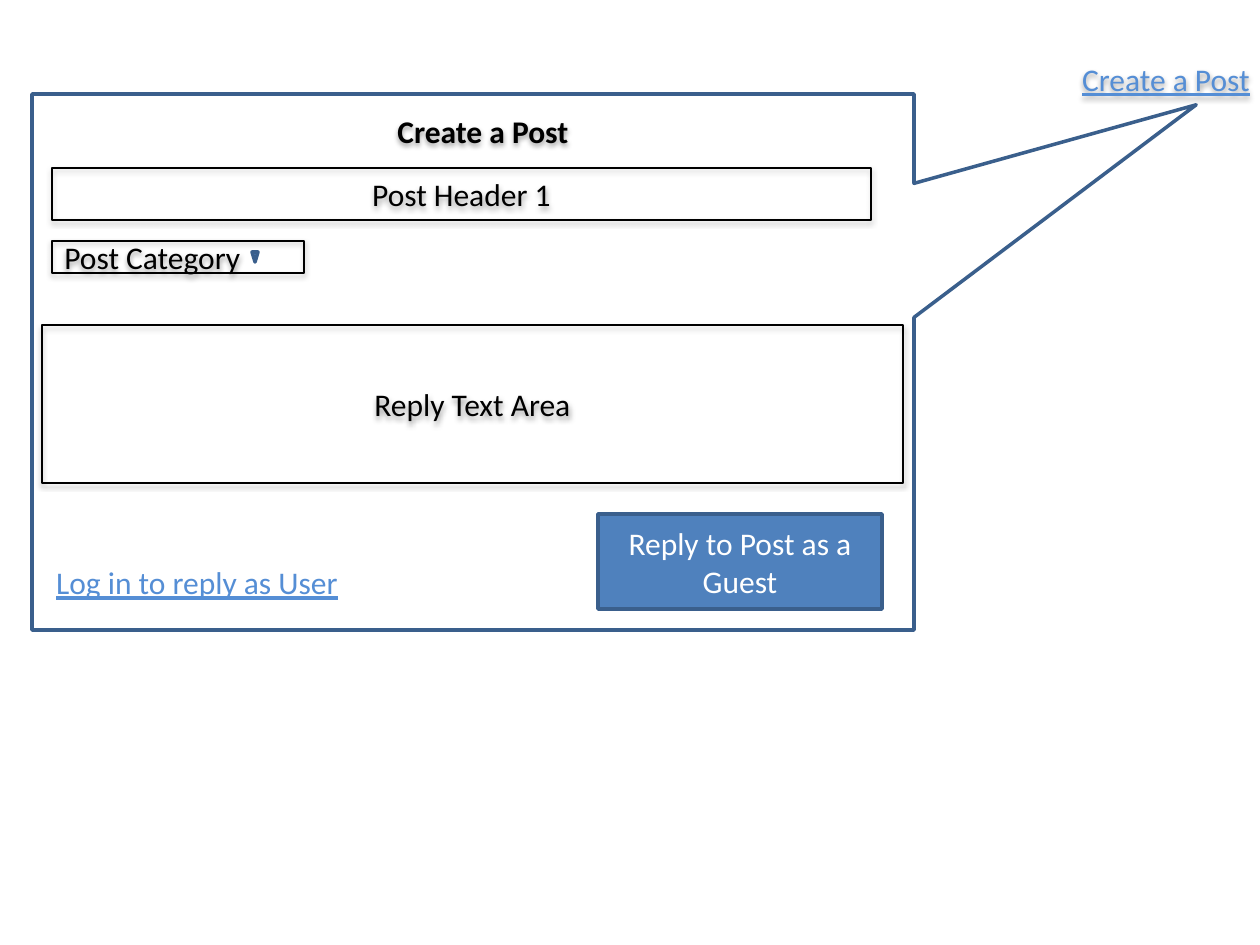
import pptx
import pptx.dml.color
import pptx.enum.shapes
import pptx.enum.text
import pptx.oxml
import pptx.oxml.ns
import pptx.util

BLACK = pptx.dml.color.RGBColor(0x00, 0x00, 0x00)
WHITE = pptx.dml.color.RGBColor(0xFF, 0xFF, 0xFF)
BLUE = pptx.dml.color.RGBColor(0x4F, 0x81, 0xBD)
DARK_BLUE = pptx.dml.color.RGBColor(0x3A, 0x5F, 0x8C)
LINK_BLUE = pptx.dml.color.RGBColor(0x55, 0x8E, 0xD5)

PX = 914400 / 126
SHAPE = pptx.enum.shapes.MSO_SHAPE
ALIGN = pptx.enum.text.PP_ALIGN
ANCHOR = pptx.enum.text.MSO_ANCHOR
SHADOW = (
    f'<a:outerShdw {pptx.oxml.ns.nsdecls("a")} blurRad="40000" dist="20000" '
    'dir="5400000" rotWithShape="0"><a:srgbClr val="000000">'
    '<a:alpha val="38000"/></a:srgbClr></a:outerShdw>'
)


class Wireframe:
    """Draws the parts of a page mock-up on one slide in a shared style."""

    font = {"name": "Calibri", "size": pptx.util.Pt(18)}

    def __init__(self, slide):
        self.slide = slide

    def place(self, bounds):
        return [round(length * PX) for length in bounds]

    def shade(self, item, shadow):
        item.shadow.inherit = False
        if shadow:
            effects = item.element.spPr.find(pptx.oxml.ns.qn("a:effectLst"))
            effects.append(pptx.oxml.parse_xml(SHADOW))

    def set_text(self, item, text, color, align=ALIGN.CENTER, anchor=ANCHOR.MIDDLE,
                 wrap=True, **extra):
        frame = item.text_frame
        frame.word_wrap = wrap
        frame.vertical_anchor = anchor
        para = frame.paragraphs[0]
        para.alignment = align
        span = para.add_run()
        span.text = text
        for name, value in {**self.font, **extra}.items():
            setattr(span.font, name, value)
        span.font.color.rgb = color

    def shape(self, kind, bounds, line=DARK_BLUE, weight=2, fill=None, shadow=False):
        shape = self.slide.shapes.add_shape(kind, *self.place(bounds))
        if fill is None:
            shape.fill.background()
        else:
            shape.fill.solid()
            shape.fill.fore_color.rgb = fill
        shape.line.color.rgb = line
        shape.line.width = pptx.util.Pt(weight)
        self.shade(shape, shadow)
        return shape

    def field(self, text, bounds, align=ALIGN.CENTER):
        box = self.shape(SHAPE.RECTANGLE, bounds, BLACK, 0.75, shadow=True)
        self.set_text(box, text, BLACK, align)

    def button(self, text, bounds):
        box = self.shape(SHAPE.RECTANGLE, bounds, fill=BLUE)
        self.set_text(box, text, WHITE)

    def callout(self, bounds, tip):
        bubble = self.shape(SHAPE.RECTANGULAR_CALLOUT, bounds)
        bubble.rotation = 180
        for index, offset in enumerate(tip):
            bubble.adjustments[index] = offset

    def marker(self, bounds):
        self.shape(SHAPE.ISOSCELES_TRIANGLE, bounds, fill=BLUE).rotation = 180

    def label(self, text, bounds, color, shadow=True, **style):
        box = self.slide.shapes.add_textbox(*self.place(bounds))
        self.shade(box, shadow)
        self.set_text(box, text, color, **style)
        return box


def main():
    deck = pptx.Presentation()
    deck.slide_width = round(1260 * PX)
    deck.slide_height = round(945 * PX)
    page = Wireframe(deck.slides.add_slide(deck.slide_layouts[6]))

    page.button("Reply to Post as a Guest", (598, 514, 284, 95))
    page.field("Reply Text Area", (42, 325, 861, 158))
    page.label("Create a Post", (1040, 42, 252, 73), LINK_BLUE, underline=True)
    page.callout((32, 94, 882, 536), (-0.82, 0.48))
    login = page.label("Log in to reply as User", (42, 557, 310, 51), LINK_BLUE,
                       shadow=False, anchor=ANCHOR.TOP, wrap=False, underline=True)
    login.text_frame.auto_size = pptx.enum.text.MSO_AUTO_SIZE.SHAPE_TO_FIT_TEXT
    page.field("Post Header 1", (52, 168, 819, 52))
    page.field("Post Category", (52, 241, 252, 32), ALIGN.LEFT)
    page.label("Create a Post", (357, 94, 252, 73), BLACK, bold=True)
    page.marker((252, 252, 6, 10))

    deck.save("out.pptx")


if __name__ == "__main__":
    main()
